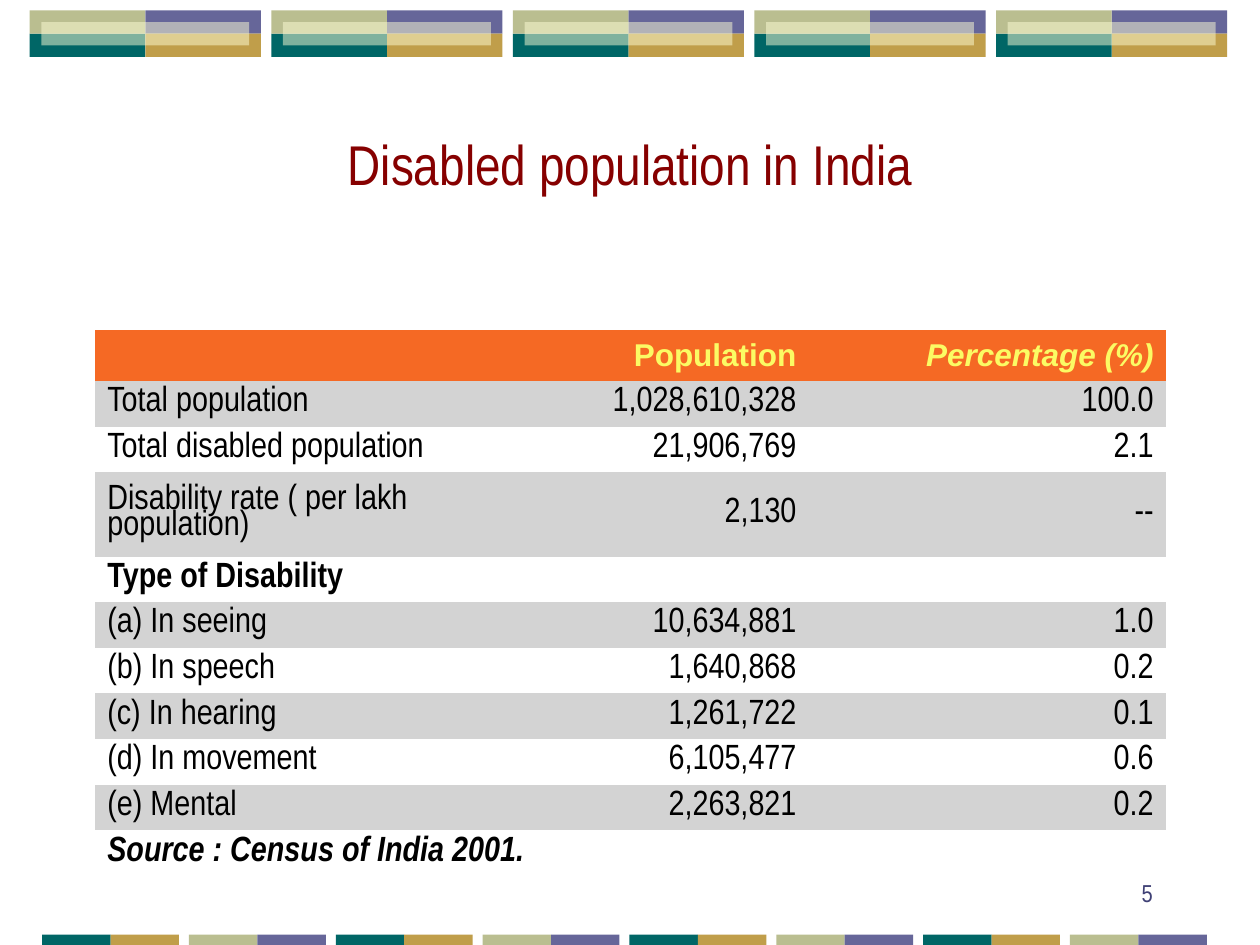
from lxml.etree import SubElement
from pptx import Presentation
from pptx.dml.color import RGBColor
from pptx.enum.shapes import MSO_SHAPE as Shape
from pptx.enum.text import MSO_ANCHOR as Anchor, PP_ALIGN as Align
from pptx.oxml.ns import qn
from pptx.util import Cm, Pt

PURPLE = RGBColor(0x66, 0x66, 0x99)
GOLD = RGBColor(0xC0, 0x9E, 0x4A)
TEAL = RGBColor(0x00, 0x66, 0x66)
OLIVE = RGBColor(0xBA, 0xBE, 0x90)
CREAM = RGBColor(0xFE, 0xFE, 0xD6)
MAROON = RGBColor(0x86, 0x00, 0x00)
ORANGE = RGBColor(0xF5, 0x69, 0x24)
YELLOW = RGBColor(0xFB, 0xFB, 0x64)
GREY = RGBColor(0xD3, 0xD3, 0xD3)
WHITE = RGBColor(0xFF, 0xFF, 0xFF)
BLACK = RGBColor(0x00, 0x00, 0x00)
INDIGO = RGBColor(0x40, 0x41, 0x76)
NARROW = "Arial Narrow"
NO_GRID_STYLE = "{2D5ABB26-0587-4C30-8999-92F81FD0307C}"

HEADING = "Disabled population in India"
PAGE = "5"
ROWS = [
    ("", "Population", "Percentage (%)"),
    ("Total population", "1,028,610,328", "100.0"),
    ("Total disabled population", "21,906,769", "2.1"),
    ("Disability rate ( per lakh population)", "2,130", "--"),
    ("Type of Disability",),
    ("(a) In seeing", "10,634,881", "1.0"),
    ("(b) In speech", "1,640,868", "0.2"),
    ("(c) In hearing", "1,261,722", "0.1"),
    ("(d) In movement", "6,105,477", "0.6"),
    ("(e) Mental", "2,263,821", "0.2"),
    ("Source : Census of India 2001.",),
]
ROW_HEIGHT, HEADER_HEIGHT, RATE_HEIGHT = 0.92, 0.97, 1.7
COLUMN_WIDTH = 7.2
ITALIC = ("Percentage (%)", ROWS[-1][0])

TOP_TILES, TOP_LEFT, TOP_PITCH = 5, 0.6, 4.87
TILE_TOP, TILE_WIDTH, TILE_HEIGHT = 0.21, 2.33, 0.47
BOTTOM_TILES, BOTTOM_LEFT, BOTTOM_PITCH = 8, 0.85, 2.96
STRIP_TOP, STRIP_WIDTH, STRIP_HEIGHT = 18.84, 1.38, 0.21


def add_tile(slide, left, top, width, height, color):
    tile = slide.shapes.add_shape(
        Shape.RECTANGLE, Cm(left), Cm(top), Cm(width), Cm(height))
    tile.shadow.inherit = False
    tile.fill.solid()
    tile.fill.fore_color.rgb = color
    tile.line.fill.background()
    return tile


def add_top_band(slide):
    quarters = [(1, 0, PURPLE), (1, 1, GOLD), (0, 1, TEAL), (0, 0, OLIVE)]
    inset = TILE_HEIGHT / 2
    for index in range(TOP_TILES):
        left = TOP_LEFT + index * TOP_PITCH
        for column, row, color in quarters:
            add_tile(slide, left + column * TILE_WIDTH, TILE_TOP + row * TILE_HEIGHT,
                     TILE_WIDTH, TILE_HEIGHT, color)
        glaze = add_tile(slide, left + inset, TILE_TOP + inset,
                         2 * (TILE_WIDTH - inset), TILE_HEIGHT, CREAM)
        tint = glaze.fill._xPr.find(qn("a:solidFill"))[0]
        SubElement(tint, qn("a:alpha"), val="50000")


def add_bottom_band(slide):
    pairs = [(TEAL, GOLD), (OLIVE, PURPLE)]
    for index in range(BOTTOM_TILES):
        for half, color in enumerate(pairs[index % 2]):
            left = BOTTOM_LEFT + index * BOTTOM_PITCH + half * STRIP_WIDTH
            add_tile(slide, left, STRIP_TOP, STRIP_WIDTH, STRIP_HEIGHT, color)


def write(frame, text, size, color, align, font=NARROW, bold=False, italic=False):
    paragraph = frame.paragraphs[0]
    paragraph.alignment = align
    run = paragraph.add_run()
    run.text = text
    run.font.name = font
    run.font.size = Pt(size)
    run.font.color.rgb = color
    run.font.bold = bold
    run.font.italic = italic
    return paragraph


def add_population_table(slide):
    heights = [ROW_HEIGHT] * len(ROWS)
    heights[0], heights[3] = HEADER_HEIGHT, RATE_HEIGHT
    table = slide.shapes.add_table(
        len(ROWS), 3, Cm(1.91), Cm(6.65), Cm(3 * COLUMN_WIDTH), Cm(sum(heights))).table
    table._tbl.tblPr.find(qn("a:tableStyleId")).text = NO_GRID_STYLE
    for column in table.columns:
        column.width = Cm(COLUMN_WIDTH)
    for r, values in enumerate(ROWS):
        table.rows[r].height = Cm(heights[r])
        is_header, is_span = r == 0, len(values) == 1
        if is_span:
            table.cell(r, 0).merge(table.cell(r, 2))
        for c, value in enumerate(values):
            cell = table.cell(r, c)
            cell.vertical_anchor = Anchor.MIDDLE
            cell.fill.solid()
            cell.fill.fore_color.rgb = ORANGE if is_header else GREY if r % 2 else WHITE
            if not value:
                continue
            align = Align.RIGHT if c else Align.LEFT
            italic = value in ITALIC
            if is_header:
                write(cell.text_frame, value, 18, YELLOW, align, "Arial", True, italic)
            else:
                line = write(cell.text_frame, value, 20, BLACK, align,
                             bold=is_span, italic=italic)
                line.line_spacing = 0.8


def main():
    deck = Presentation()
    deck.slide_width, deck.slide_height = Cm(25.4), Cm(19.05)
    slide = deck.slides.add_slide(deck.slide_layouts[5])

    add_top_band(slide)
    add_bottom_band(slide)

    title = slide.shapes.title
    title.left, title.top, title.width, title.height = Cm(1.91), Cm(1.7), Cm(21.59), Cm(3.18)
    title.text_frame.vertical_anchor = Anchor.MIDDLE
    write(title.text_frame, HEADING, 32, MAROON, Align.CENTER)

    add_population_table(slide)

    page = slide.shapes.add_textbox(Cm(18.2), Cm(17.15), Cm(5.29), Cm(1.27)).text_frame
    page.word_wrap = True
    page.vertical_anchor = Anchor.BOTTOM
    write(page, PAGE, 14, INDIGO, Align.RIGHT)

    deck.save("out.pptx")


if __name__ == "__main__":
    main()
